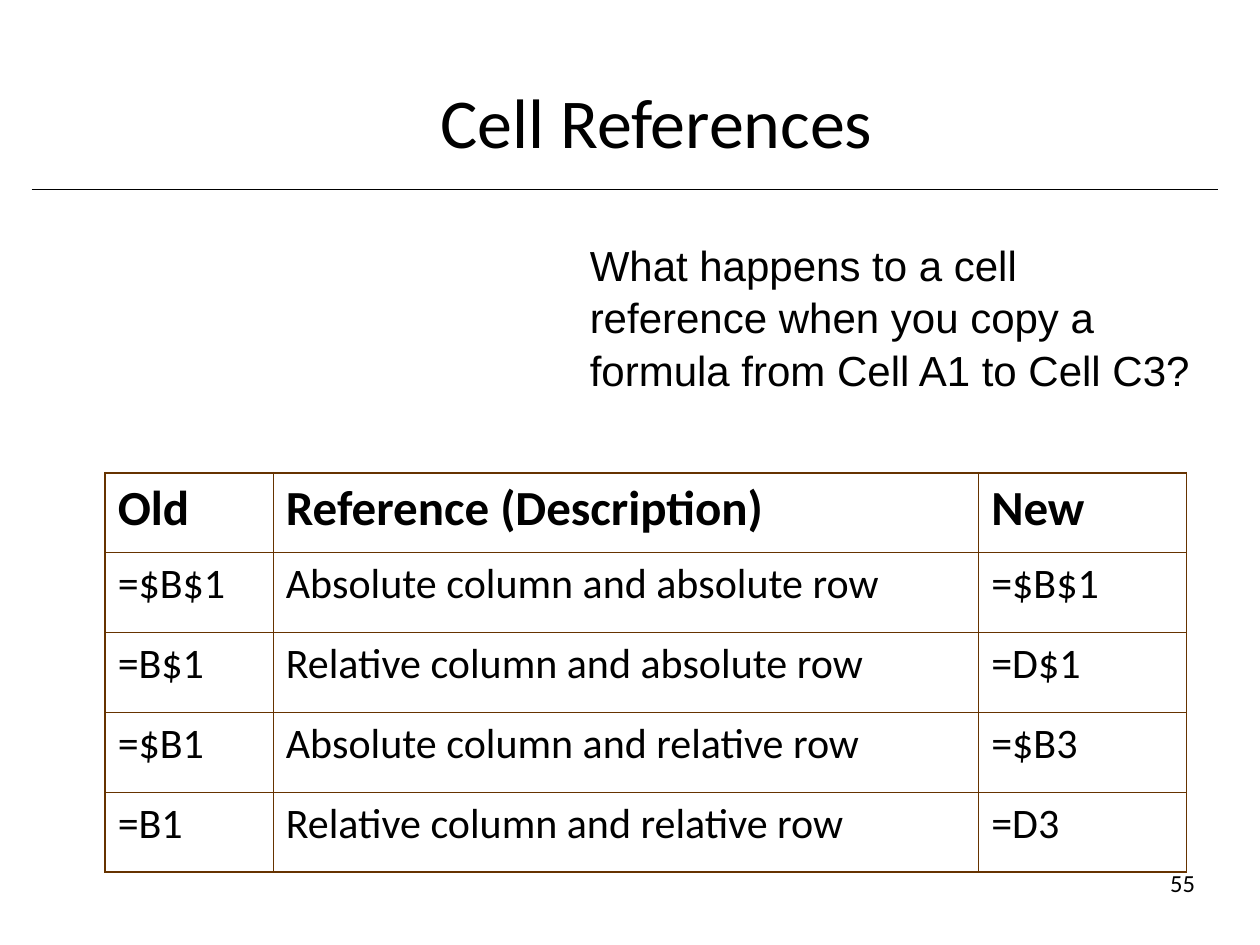
from dataclasses import dataclass
from typing import Any

from lxml.etree import SubElement
from pptx import Presentation
from pptx.dml.color import RGBColor
from pptx.enum.shapes import MSO_CONNECTOR
from pptx.enum.text import MSO_ANCHOR as Anchor, MSO_AUTO_SIZE as AutoSize, PP_ALIGN as Align
from pptx.oxml.ns import qn
from pptx.util import Cm, Pt


@dataclass(frozen=True)
class Theme:
    ink: RGBColor = RGBColor(0x00, 0x00, 0x00)
    border: str = "663300"
    heading_font: str = "Calibri"
    question_font: str = "Arial"
    title_size: float = 40
    header_size: float = 28
    body_size: float = 24
    number_size: float = 14
    rule_width: float = 0.5
    outer_width: float = 1.08
    inner_width: float = 0.45


@dataclass(frozen=True)
class Box:
    left: float
    top: float
    width: float
    height: float

    def lengths(self) -> tuple:
        return Cm(self.left), Cm(self.top), Cm(self.width), Cm(self.height)


@dataclass(frozen=True)
class Reference:
    old: str
    description: str
    new: str

    def texts(self) -> tuple:
        return self.old, self.description, self.new


THEME = Theme()
TITLE_BOX = Box(2.12, 1.06, 22.23, 2.75)
QUESTION_BOX = Box(11.64, 4.66, 12.7, 3.3)
NUMBER_BOX = Box(19.05, 17.15, 5.29, 1.27)
TABLE_BOX = Box(2.12, 9.53, 21.8, 8.05)
COLUMN_WIDTHS = (3.39, 14.22, 4.19)
REFERENCES = (
    Reference("Old", "Reference (Description)", "New"),
    Reference("=$B$1", "Absolute column and absolute row", "=$B$1"),
    Reference("=B$1", "Relative column and absolute row", "=D$1"),
    Reference("=$B1", "Absolute column and relative row", "=$B3"),
    Reference("=B1", "Relative column and relative row", "=D3"),
)


def apply_format(target: Any, values: dict) -> None:
    for attribute, value in values.items():
        setattr(target, attribute, value)


def write_text(frame: Any, text: str, font_name: str, size: float,
               bold: bool = False, **paragraph_format: Any) -> None:
    paragraph = frame.paragraphs[0]
    run = paragraph.add_run()
    run.text = text
    apply_format(paragraph, paragraph_format)
    apply_format(run.font, {"name": font_name, "size": Pt(size), "bold": bold})
    run.font.color.rgb = THEME.ink


def add_title(slide: Any, text: str) -> None:
    title = slide.shapes.title
    title.left, title.top, title.width, title.height = TITLE_BOX.lengths()
    apply_format(title.text_frame, {
        "word_wrap": True, "auto_size": AutoSize.NONE, "vertical_anchor": Anchor.MIDDLE})
    write_text(title.text_frame, text, THEME.heading_font, THEME.title_size,
               alignment=Align.CENTER)


def add_title_rule(slide: Any) -> None:
    rule = slide.shapes.add_connector(
        MSO_CONNECTOR.STRAIGHT, Cm(0.64), Cm(3.81), Cm(24.56), Cm(3.81))
    rule.line.color.rgb = THEME.ink
    rule.line.width = Pt(THEME.rule_width)
    SubElement(rule._element.spPr, qn("a:effectLst"))


def add_label(slide: Any, box: Box, text: str, font_name: str, size: float,
              frame_format: dict, **paragraph_format: Any) -> None:
    frame = slide.shapes.add_textbox(*box.lengths()).text_frame
    apply_format(frame, {"word_wrap": True, **frame_format})
    write_text(frame, text, font_name, size, **paragraph_format)


def set_borders(cell: Any, outer_sides: dict) -> None:
    properties = cell._tc.get_or_add_tcPr()
    for side, is_outer in outer_sides.items():
        width = THEME.outer_width if is_outer else THEME.inner_width
        border = SubElement(properties, qn(f"a:{side}"), w=str(int(Pt(width))))
        fill = SubElement(border, qn("a:solidFill"))
        SubElement(fill, qn("a:srgbClr"), val=THEME.border)


def add_reference_table(slide: Any) -> None:
    last_row, last_column = len(REFERENCES) - 1, len(COLUMN_WIDTHS) - 1
    table = slide.shapes.add_table(
        len(REFERENCES), len(COLUMN_WIDTHS), *TABLE_BOX.lengths()).table
    apply_format(table, {"first_row": False, "horz_banding": False})
    for column, width in zip(table.columns, COLUMN_WIDTHS):
        column.width = Cm(width)
    for row, reference in enumerate(REFERENCES):
        is_header = row == 0
        size = THEME.header_size if is_header else THEME.body_size
        for column, text in enumerate(reference.texts()):
            cell = table.cell(row, column)
            set_borders(cell, {"lnL": column == 0, "lnR": column == last_column,
                               "lnT": is_header, "lnB": row == last_row})
            cell.fill.background()
            write_text(cell.text_frame, text, THEME.heading_font, size, is_header)


def main() -> None:
    presentation = Presentation()
    apply_format(presentation, {"slide_width": Cm(25.4), "slide_height": Cm(19.05)})
    slide = presentation.slides.add_slide(presentation.slide_layouts[5])
    add_title_rule(slide)
    add_label(slide, NUMBER_BOX, "55", THEME.heading_font, THEME.number_size,
              {"vertical_anchor": Anchor.MIDDLE}, alignment=Align.RIGHT)
    add_title(slide, "Cell References")
    add_reference_table(slide)
    add_label(slide, QUESTION_BOX,
              "What happens to a cell reference when you copy a formula "
              "from Cell A1 to Cell C3?",
              THEME.question_font, THEME.body_size,
              {"auto_size": AutoSize.SHAPE_TO_FIT_TEXT}, line_spacing=1.04)
    presentation.save("out.pptx")


if __name__ == "__main__":
    main()
